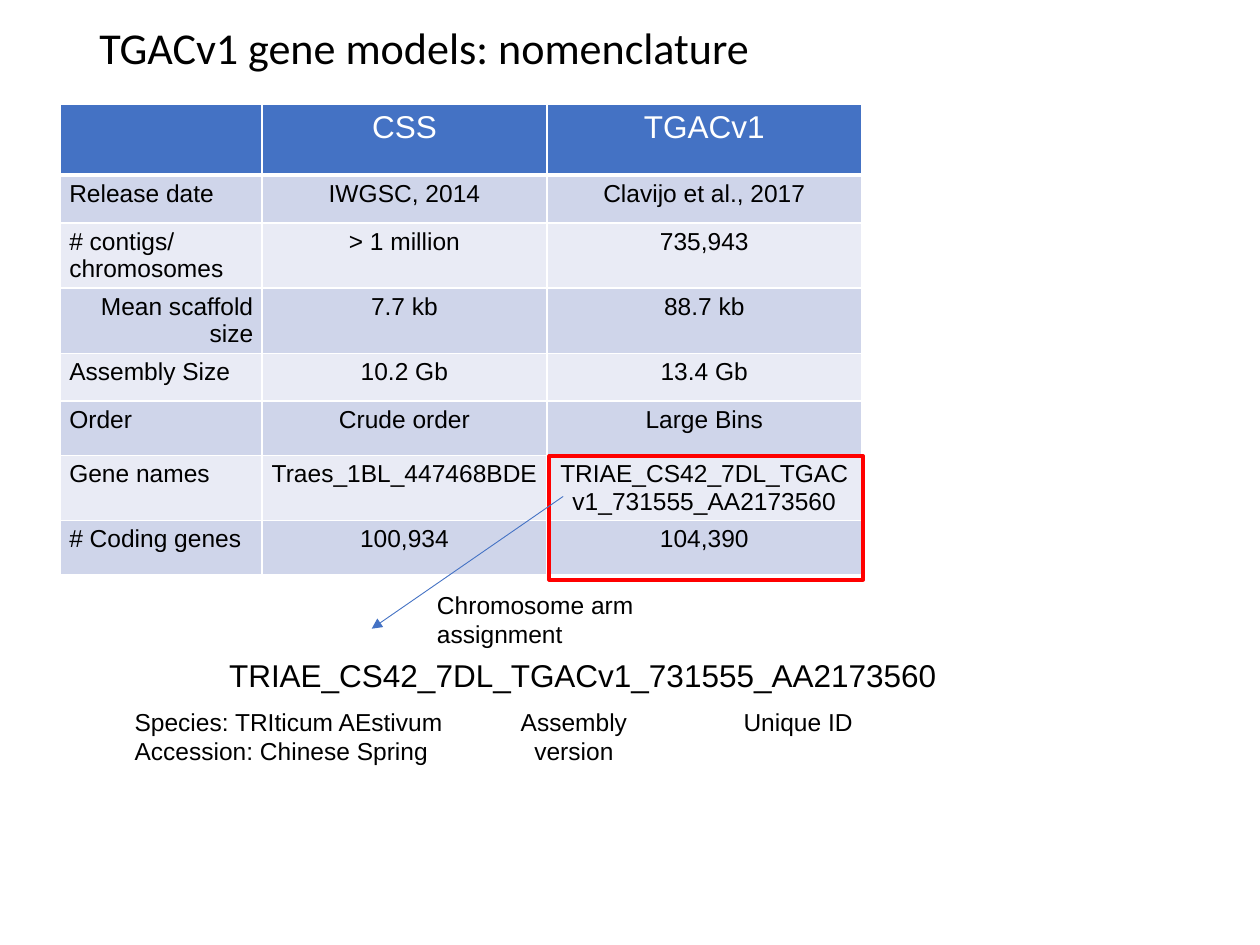
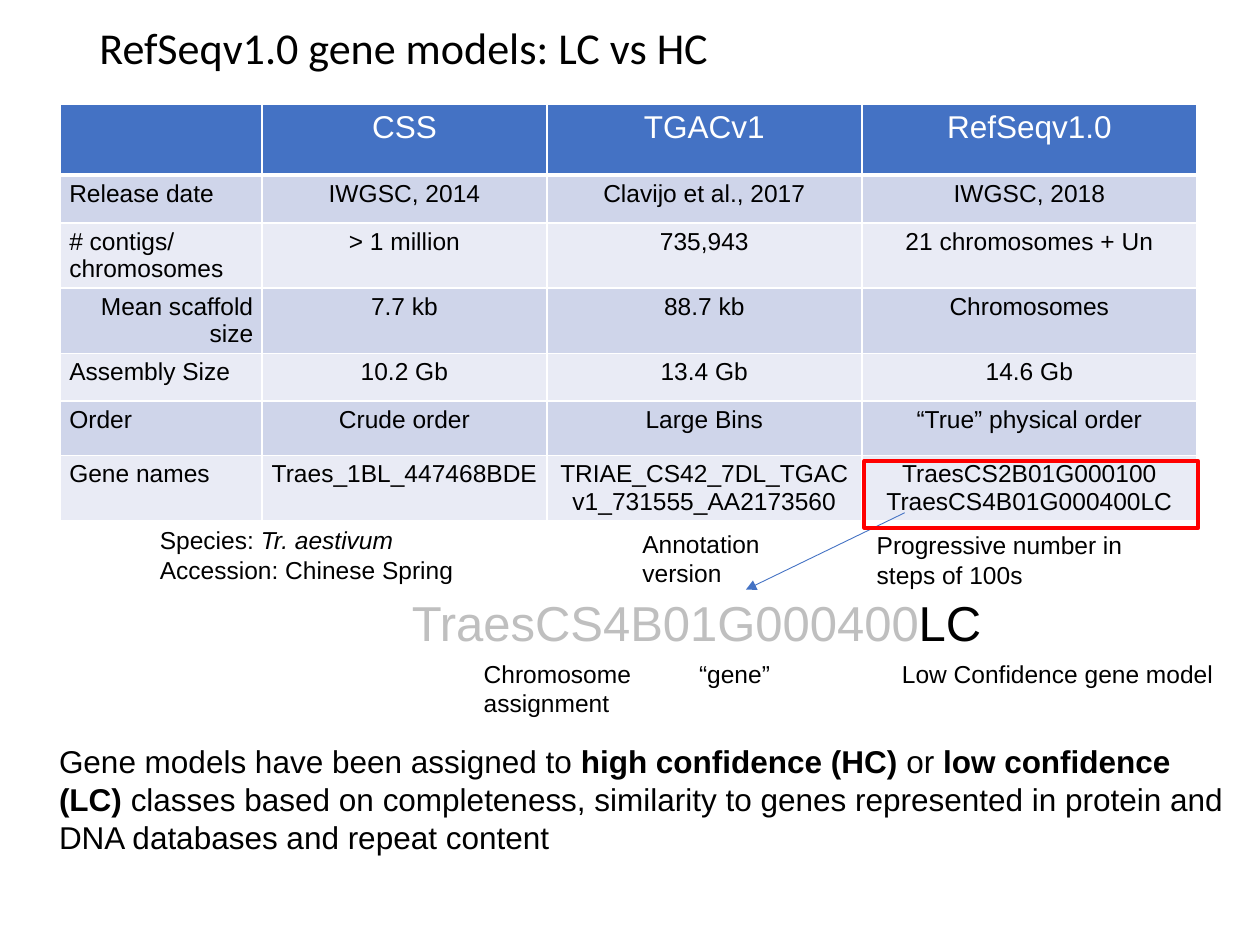
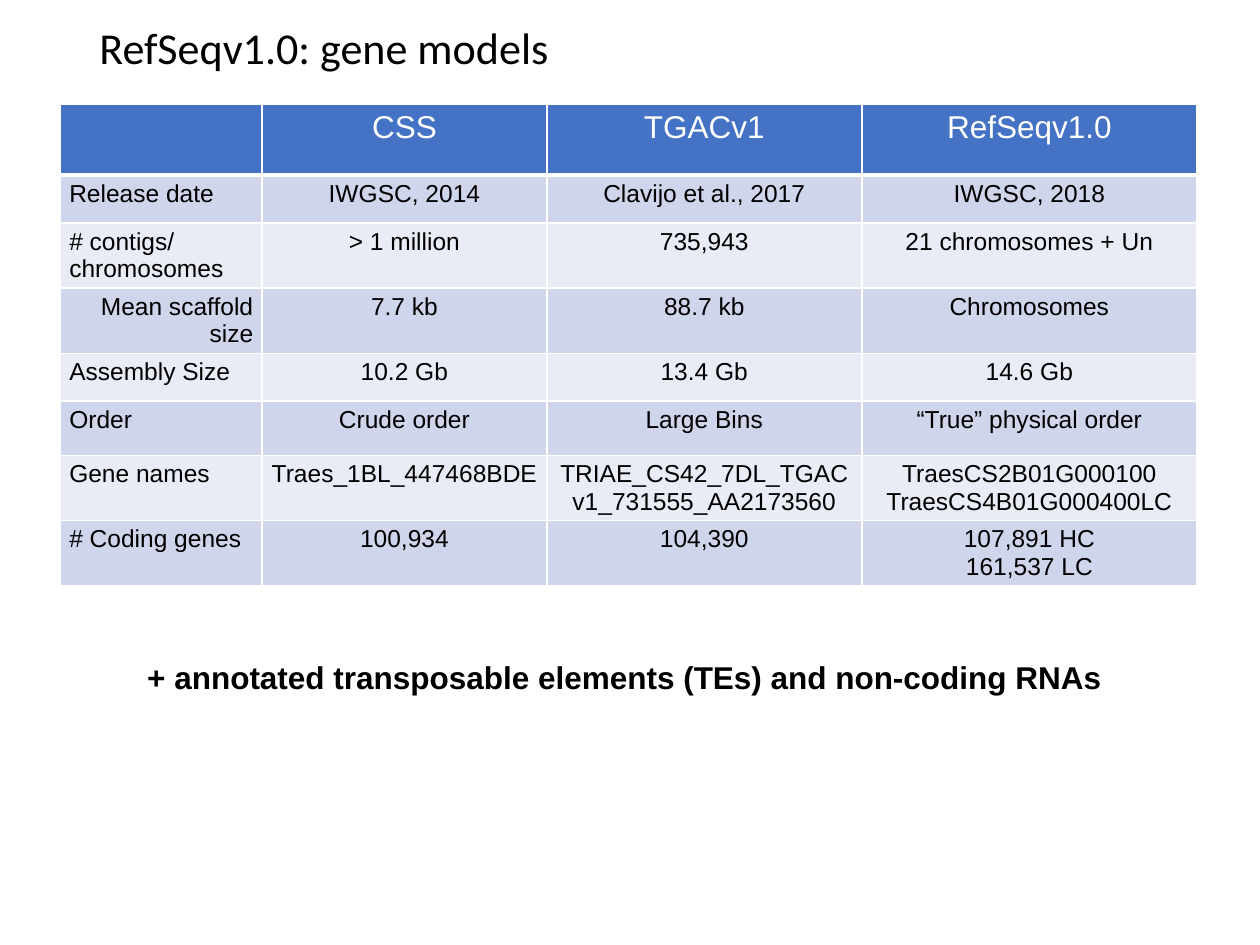
from lxml.etree import SubElement
from pptx import Presentation
from pptx.dml.color import RGBColor as Rgb
from pptx.enum.shapes import MSO_CONNECTOR as Connector, MSO_SHAPE as Shape
from pptx.enum.text import MSO_ANCHOR as Anchor, MSO_AUTO_SIZE as AutoSize, PP_ALIGN as Align
from pptx.oxml.ns import qn
from pptx.util import Emu, Pt

PX = 9144  # 100 px to the inch
COLORS = {
    "text": "000000", "white": "FFFFFF", "accent": "4472C4",
    "band_dark": "CFD5EA", "band_light": "E9EBF5",
    "highlight": "FF0000", "faded": "BFBFBF",
}
BLANK_LAYOUT = 6

COLUMN_WIDTHS = [160, 226, 250, 266]
ROW_HEIGHTS = [56, 38, 38, 38, 38, 43, 43, 43]
ASSEMBLIES = [
    ["", "CSS", "TGACv1", "RefSeqv1.0"],
    ["Release date", "IWGSC, 2014", "Clavijo et al., 2017", "IWGSC, 2018"],
    ["# contigs/ chromosomes", "> 1 million", "735,943", "21 chromosomes + Un"],
    ["Mean scaffold size", "7.7 kb", "88.7 kb", "Chromosomes"],
    ["Assembly Size", "10.2 Gb", "13.4 Gb", "14.6 Gb"],
    ["Order", "Crude order", "Large Bins", "“True” physical order"],
    ["Gene names", "Traes_1BL_447468BDE", "TRIAE_CS42_7DL_TGACv1_731555_AA2173560",
     "TraesCS2B01G000100\nTraesCS4B01G000400LC"],
    ["# Coding genes", "100,934", "104,390", "107,891 HC\n161,537 LC"],
]
INDENTED_ROW = 3


def px(*lengths):
    return [Emu(length * PX) for length in lengths]


def rgb(color):
    return Rgb.from_string(COLORS[color])


class GeneModelDeck:
    """Holds the shared style and the slide being filled."""

    def __init__(self):
        self.deck = Presentation()
        self.deck.slide_width, self.deck.slide_height = px(1000, 750)
        self.page = None

    def start_page(self, title):
        self.page = self.deck.slides.add_slide(self.deck.slide_layouts[BLANK_LAYOUT])
        box = self.text([title], 69, 16, 862, 48, wrap=True, grow=False, line_spacing=0.9,
                        name="Calibri", size=Pt(25.2))
        box.text_frame.vertical_anchor = Anchor.MIDDLE

    def fill_text(self, frame, paragraphs, align=Align.LEFT, line_spacing=None, **formats):
        """A paragraph is a string or a list of (text, format values) pairs."""
        for index, content in enumerate(paragraphs):
            para = frame.add_paragraph() if index else frame.paragraphs[0]
            para.alignment = align
            if line_spacing:
                para.line_spacing = line_spacing
            spans = [(content, {})] if isinstance(content, str) else content
            for words, changes in spans:
                span = para.add_run()
                span.text = words
                values = {"name": "Arial", "size": Pt(14), "color": "text", **formats, **changes}
                span.font.color.rgb = rgb(values.pop("color"))
                for key, value in values.items():
                    setattr(span.font, key, value)

    def text(self, paragraphs, left, top, width, height, wrap=False, grow=True, **formats):
        box = self.page.shapes.add_textbox(*px(left, top, width, height))
        box.text_frame.word_wrap = wrap
        box.text_frame.auto_size = AutoSize.SHAPE_TO_FIT_TEXT if grow else AutoSize.NONE
        self.fill_text(box.text_frame, paragraphs, **formats)
        return box

    def cell_borders(self, cell, bottom):
        properties = cell._tc.get_or_add_tcPr()
        for side, points in (("L", 1), ("R", 1), ("T", 1), ("B", bottom)):
            line = SubElement(properties, qn(f"a:ln{side}"), w=str(Pt(points)))
            fill = SubElement(line, qn("a:solidFill"))
            SubElement(fill, qn("a:srgbClr"), val=COLORS["white"])

    def table(self, columns, rows):
        widths, heights = COLUMN_WIDTHS[:columns], ROW_HEIGHTS[:rows]
        frame = self.page.shapes.add_table(
            rows, columns, *px(48, 83, sum(widths), sum(heights)))
        grid = frame.table
        for column, width in zip(grid.columns, px(*widths)):
            column.width = width
        for row, height in zip(grid.rows, px(*heights)):
            row.height = height
        margins = dict(zip(("margin_left", "margin_top", "margin_right", "margin_bottom"),
                           px(7, 4, 7, 4)))
        for r in range(rows):
            header = r == 0
            band = "accent" if header else "band_dark" if r % 2 else "band_light"
            formats = {"bold": False, "size": Pt(18 if header else 14),
                       "color": "white" if header else "text"}
            for c in range(columns):
                cell = grid.cell(r, c)
                for key, value in margins.items():
                    setattr(cell, key, value)
                self.cell_borders(cell, bottom=3 if header else 1)
                cell.fill.solid()
                cell.fill.fore_color.rgb = rgb(band)
                label_align = Align.RIGHT if r == INDENTED_ROW else Align.LEFT
                if ASSEMBLIES[r][c]:
                    self.fill_text(cell.text_frame, ASSEMBLIES[r][c].split("\n"),
                                   align=Align.CENTER if c else label_align, **formats)

    def highlight(self, left, top, width, height):
        frame = self.page.shapes.add_shape(Shape.RECTANGLE, *px(left, top, width, height))
        frame.shadow.inherit = False
        frame.fill.background()
        frame.line.color.rgb = rgb("highlight")
        frame.line.width = Pt(2.25)

    def arrow(self, *ends):
        arrow = self.page.shapes.add_connector(Connector.STRAIGHT, *px(*ends))
        arrow.line.color.rgb = rgb("accent")
        arrow.line.width = Pt(0.5)
        SubElement(arrow.line._get_or_add_ln(), qn("a:tailEnd"), type="triangle")
        SubElement(arrow._element.spPr, qn("a:effectLst"))


def nomenclature(show):
    show.start_page("TGACv1 gene models: nomenclature")
    show.table(columns=3, rows=8)
    show.highlight(436, 362, 249, 98)
    show.arrow(447, 394, 295, 499)
    # Gene name and the meaning of its parts
    show.text(["TRIAE_CS42_7DL_TGACv1_731555_AA2173560"], 172, 516, 587, 40, size=Pt(18))
    show.text(["Species: TRIticum AEstivum", "Accession: Chinese Spring"], 97, 556, 266, 57)
    show.text(["Chromosome arm", "assignment"], 337, 463, 177, 57)
    show.text(["Assembly", "version"], 403, 556, 105, 57, align=Align.CENTER)
    show.text(["Unique ID"], 580, 556, 107, 34, align=Align.CENTER)


def confidence_classes(show):
    show.start_page("RefSeqv1.0 gene models: LC vs HC")
    show.table(columns=4, rows=7)
    show.arrow(718, 407, 592, 468)
    # Gene name and the meaning of its parts
    show.text([[("TraesCS4B01G000400", {"color": "faded"}), ("LC", {})]],
              317, 465, 478, 57, size=Pt(28))
    show.text([[("Species: ", {}), ("Tr. aestivum", {"italic": True})],
               "Accession: Chinese Spring"], 117, 412, 256, 57)
    show.text(["Chromosome", "assignment"], 374, 518, 138, 57)
    show.text(["Annotation", "version"], 500, 415, 114, 57)
    show.text(["“gene”"], 545, 518, 77, 34)
    show.text(["Progressive number in steps of 100s"], 686, 416, 246, 57, wrap=True)
    show.text(["Low Confidence gene model"], 706, 518, 304, 34, wrap=True)
    # Explanation of the classes
    strong = {"bold": True}
    show.text([[("Gene models have been assigned to ", {}), ("high confidence (HC) ", strong),
                ("or ", {}), ("low confidence (LC) ", strong),
                ("classes based on completeness, similarity to genes represented in protein "
                 "and DNA databases and repeat content", {})]],
              37, 584, 948, 131, wrap=True, size=Pt(18))
    show.highlight(686, 366, 265, 53)


def gene_models(show):
    show.start_page("RefSeqv1.0: gene models")
    show.table(columns=4, rows=8)
    show.text(["+ annotated transposable elements (TEs) and non-coding RNAs"],
              107, 517, 785, 40, size=Pt(18), bold=True)


def main():
    show = GeneModelDeck()
    for build_page in (nomenclature, confidence_classes, gene_models):
        build_page(show)
    show.deck.save("out.pptx")


if __name__ == "__main__":
    main()
